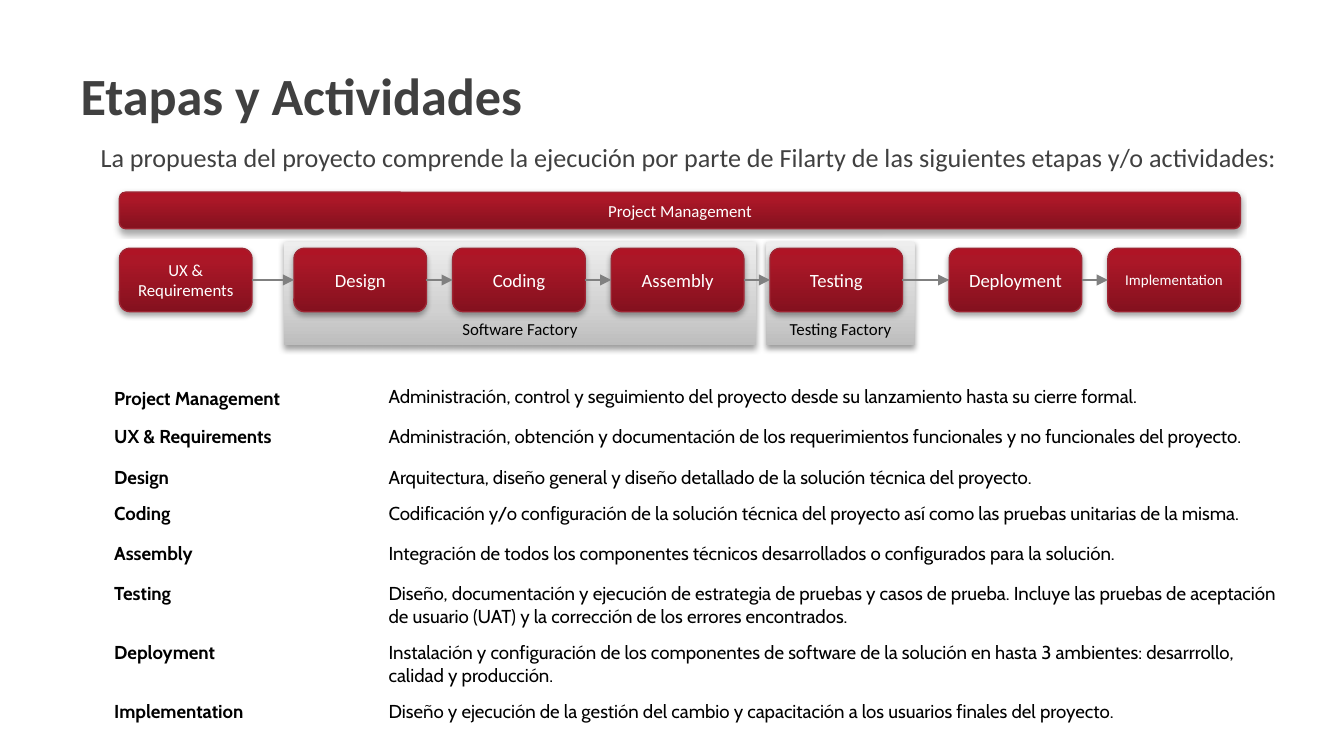
import pptx
import pptx.util
import pptx.dml.color
import pptx.enum.shapes
import pptx.enum.text
import pptx.oxml.ns
from lxml import etree

Pt = pptx.util.Pt
qn = pptx.oxml.ns.qn
SHAPE = pptx.enum.shapes.MSO_SHAPE
ANCHOR = pptx.enum.text.MSO_ANCHOR
ALIGN = pptx.enum.text.PP_ALIGN

RED = [(0, "84111E"), (80, "AB1727"), (100, "AF1425")]
GREY = [(0, "BDBDBD"), (35, "D1D1D1"), (100, "EEEEEE")]


def color(value):
    return pptx.dml.color.RGBColor.from_string(value)


def add_block(kind, left, top, width, height, text, size, stops, opacity):
    """Add a labelled shape with an upward gradient and a soft shadow."""
    shape = slide.shapes.add_shape(kind, Pt(left), Pt(top), Pt(width), Pt(height))
    properties = shape._element.spPr
    gradient = etree.SubElement(properties, qn("a:gradFill"), rotWithShape="1")
    stop_list = etree.SubElement(gradient, qn("a:gsLst"))
    for position, value in stops:
        stop = etree.SubElement(stop_list, qn("a:gs"), pos=str(position * 1000))
        etree.SubElement(stop, qn("a:srgbClr"), val=value)
    etree.SubElement(gradient, qn("a:lin"), ang="16200000", scaled="0")

    if stops is RED:
        shape.line.color.rgb = color("9E2533")
        shape.line.width = Pt(0.75)
    else:
        shape.line.fill.background()

    shape.shadow.inherit = False
    shadow = etree.SubElement(properties.find(qn("a:effectLst")), qn("a:outerShdw"),
                              blurRad=str(Pt(3.1)), dist=str(Pt(1.7)),
                              dir="5400000", rotWithShape="0")
    shade = etree.SubElement(shadow, qn("a:srgbClr"), val="000000")
    etree.SubElement(shade, qn("a:alpha"), val=str(opacity * 1000))

    frame = shape.text_frame
    frame.word_wrap = True
    frame.margin_left = frame.margin_right = Pt(4)
    frame.vertical_anchor = ANCHOR.MIDDLE if stops is RED else ANCHOR.BOTTOM
    paragraph = frame.paragraphs[0]
    paragraph.text = text
    paragraph.alignment = ALIGN.CENTER
    paragraph.font.name = "Calibri"
    paragraph.font.size = Pt(size)
    paragraph.font.color.rgb = color("FFFFFF" if stops is RED else "000000")
    return shape


presentation = pptx.Presentation()
presentation.slide_width = Pt(720)
presentation.slide_height = Pt(405)
slide = presentation.slides.add_slide(presentation.slide_layouts[5])

# Title and introduction
title = slide.shapes.title
title.left, title.top, title.width, title.height = Pt(36), Pt(16.5), Pt(648), Pt(68)
introduction = slide.shapes.add_textbox(Pt(46.8), Pt(72), Pt(650), Pt(26))
for shape, text, size, bold in [
    (title, "Etapas y Actividades", 28, True),
    (introduction, "La propuesta del proyecto comprende la ejecución por parte de Filarty "
                   "de las siguientes etapas y/o actividades:", 14, False),
]:
    frame = shape.text_frame
    frame.word_wrap = True
    frame.auto_size = pptx.enum.text.MSO_AUTO_SIZE.NONE
    paragraph = frame.paragraphs[0]
    paragraph.text = text
    paragraph.alignment = ALIGN.LEFT
    paragraph.font.name = "Calibri"
    paragraph.font.size = Pt(size)
    paragraph.font.bold = bold
    paragraph.font.color.rgb = color("404040")
title.text_frame.vertical_anchor = ANCHOR.MIDDLE

# Factory backgrounds
for left, width, text in [(152, 253, "Software Factory"), (410.5, 79.5, "Testing Factory")]:
    add_block(SHAPE.RECTANGLE, left, 129.5, width, 55.5, text, 9, GREY, 38)

# Management bar and stage boxes
add_block(SHAPE.ROUNDED_RECTANGLE, 64, 103, 600.5, 19.5, "Project Management", 9, RED, 35)
PITCH = 85
stages = [
    ("UX & Requirements", 64, 9),
    ("Design", 157.5, 10),
    ("Coding", 157.5 + PITCH, 10),
    ("Assembly", 157.5 + 2 * PITCH, 10),
    ("Testing", 157.5 + 3 * PITCH, 10),
    ("Deployment", 508.5, 10),
    ("Implementation", 508.5 + PITCH, 8),
]
boxes = [add_block(SHAPE.ROUNDED_RECTANGLE, left, 133, 71, 34, text, size, RED, 35)
         for text, left, size in stages]

# Arrows between consecutive stages
for source, target in zip(boxes, boxes[1:]):
    arrow = slide.shapes.add_connector(pptx.enum.shapes.MSO_CONNECTOR.STRAIGHT, 0, 0, 0, 0)
    arrow.begin_connect(source, 3)
    arrow.end_connect(target, 1)
    arrow.line.color.rgb = color("808080")
    arrow.line.width = Pt(0.75)
    etree.SubElement(arrow.line._get_or_add_ln(), qn("a:tailEnd"), type="triangle")
    etree.SubElement(arrow._element.spPr, qn("a:effectLst"))

# Table of activities: stage, description, row height
activities = [
    ("Project Management", "Administración, control y seguimiento del proyecto desde su "
     "lanzamiento hasta su cierre formal.", 21.6),
    ("UX & Requirements", "Administración, obtención y documentación de los requerimientos "
     "funcionales y no funcionales del proyecto.", 21.6),
    ("Design", "Arquitectura, diseño general y diseño detallado de la solución técnica "
     "del proyecto.", 16),
    ("Coding", "Codificación y/o configuración de la solución técnica del proyecto así "
     "como las pruebas unitarias de la misma.", 21.6),
    ("Assembly", "Integración de todos los componentes técnicos desarrollados o "
     "configurados para la solución.", 21.6),
    ("Testing", "Diseño, documentación y ejecución de estrategia de pruebas y casos de "
     "prueba. Incluye las pruebas de aceptación de usuario (UAT) y la corrección de los "
     "errores encontrados.", 21.6),
    ("Deployment", "Instalación y configuración de los componentes de software de la "
     "solución en hasta 3 ambientes: desarrrollo, calidad y producción.", 21.6),
    ("Implementation", "Diseño y ejecución de la gestión del cambio y capacitación a los "
     "usuarios finales del proyecto.", 21.6),
]
table = slide.shapes.add_table(len(activities), 2, Pt(54), Pt(203), Pt(641), Pt(167)).table
table.first_row = table.horz_banding = False
table.columns[0].width = Pt(147)
table.columns[1].width = Pt(494)
for row, (stage, description, height) in zip(table.rows, activities):
    row.height = Pt(height)
    for cell, text, bold in zip(row.cells, (stage, description), (True, False)):
        cell.fill.background()
        paragraph = cell.text_frame.paragraphs[0]
        paragraph.text = text
        paragraph.font.name = "Cabin"
        paragraph.font.size = Pt(10)
        paragraph.font.bold = bold
        paragraph.font.color.rgb = color("000000")
table.cell(0, 0).vertical_anchor = ANCHOR.MIDDLE

presentation.save("out.pptx")
